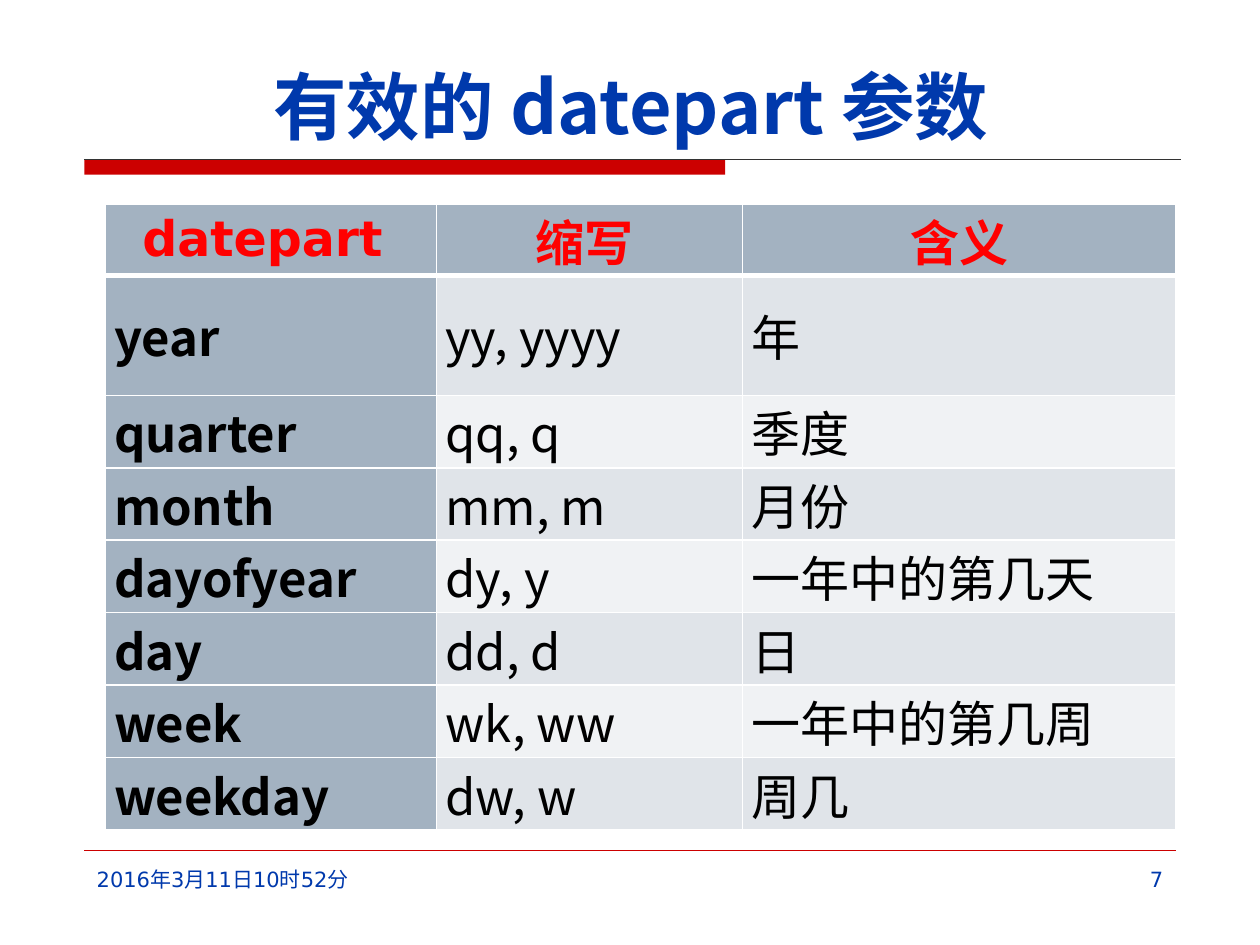
from lxml import etree
from pptx import Presentation
from pptx.dml.color import RGBColor
from pptx.enum.shapes import MSO_CONNECTOR, MSO_SHAPE
from pptx.enum.text import MSO_ANCHOR as Anchor, MSO_AUTO_SIZE, PP_ALIGN as Align
from pptx.oxml.ns import qn
from pptx.util import Cm, Pt

COLORS = {
    "blue": "0039AC", "red": "CC0000", "rule": "333333", "header_text": "FF0000",
    "body_text": "000000", "border": "FFFFFF", "key": "A3B2C1",
    "band_dark": "E0E4E9", "band_light": "F0F2F4",
}
SANS = "DejaVu Sans"
CJK = "Noto Sans CJK SC"

HEADER = ["datepart ", "缩写 ", "含义"]
DATEPARTS = [
    ("year", "yy, yyyy", "年"),
    ("quarter", "qq, q", "季度"),
    ("month", "mm, m", "月份"),
    ("dayofyear", "dy, y", "一年中的第几天"),
    ("day", "dd, d", "日"),
    ("week", "wk, ww", "一年中的第几周"),
    ("weekday", "dw, w", "周几"),
]
COLUMN_WIDTHS = [6.68, 6.17, 8.74]
ROW_HEIGHTS = [1.43, 2.42] + [1.46] * 6


def color(name):
    return RGBColor.from_string(COLORS[name])


def write_text(frame, text, size=28, font=CJK, color_name="body_text", bold=False,
               align=Align.LEFT, anchor=Anchor.TOP, indent=0):
    frame.word_wrap = True
    frame.vertical_anchor = anchor
    paragraph = frame.paragraphs[0]
    paragraph.alignment = align
    if indent:
        properties = paragraph._p.get_or_add_pPr()
        properties.set("marL", "0")
        properties.set("indent", str(Cm(indent)))
    run = paragraph.add_run()
    run.text = text
    run.font.size = Pt(size)
    run.font.bold = bold
    run.font.color.rgb = color(color_name)
    run.font.name = font
    east_asian = etree.SubElement(run._r.get_or_add_rPr(), qn("a:ea"))
    east_asian.set("typeface", CJK)


def set_borders(cell, bottom=1):
    properties = cell._tc.get_or_add_tcPr()
    for tag, width in (("lnL", 1), ("lnR", 1), ("lnT", 1), ("lnB", bottom)):
        line = etree.SubElement(properties, qn(f"a:{tag}"), w=str(Pt(width)))
        fill = etree.SubElement(line, qn("a:solidFill"))
        etree.SubElement(fill, qn("a:srgbClr"), val=COLORS["border"])


class SlideBuilder:
    def __init__(self, slide):
        self.slide = slide

    def title(self, text, left, top, width, height):
        shape = self.slide.shapes.title
        shape.left, shape.top, shape.width, shape.height = map(Cm, (left, top, width, height))
        shape.text_frame.auto_size = MSO_AUTO_SIZE.NONE
        write_text(shape.text_frame, text, size=42, color_name="blue", bold=True,
                   align=Align.CENTER, anchor=Anchor.BOTTOM)

    def bar(self, left, top, width, height):
        shape = self.slide.shapes.add_shape(
            MSO_SHAPE.RECTANGLE, *map(Cm, (left, top, width, height)))
        shape.shadow.inherit = False
        shape.fill.solid()
        shape.fill.fore_color.rgb = color("red")
        shape.line.fill.background()

    def rule(self, left, right, y, color_name, width):
        connector = self.slide.shapes.add_connector(
            MSO_CONNECTOR.STRAIGHT, Cm(left), Cm(y), Cm(right), Cm(y))
        connector.line.color.rgb = color(color_name)
        connector.line.width = Pt(width)
        etree.SubElement(connector._element.spPr, qn("a:effectLst"))

    def text(self, text, left, top, width, height, **style):
        shape = self.slide.shapes.add_textbox(*map(Cm, (left, top, width, height)))
        write_text(shape.text_frame, text, **style)

    def cell(self, cell, text, fill, bottom=1, **style):
        cell.margin_left = cell.margin_right = cell.margin_top = cell.margin_bottom = 0
        set_borders(cell, bottom)
        cell.fill.solid()
        cell.fill.fore_color.rgb = color(fill)
        cell.vertical_anchor = Anchor.MIDDLE
        write_text(cell.text_frame, text, anchor=None, **style)

    def datepart_table(self, left, top):
        frame = self.slide.shapes.add_table(
            len(ROW_HEIGHTS), len(COLUMN_WIDTHS), Cm(left), Cm(top),
            Cm(sum(COLUMN_WIDTHS)), Cm(sum(ROW_HEIGHTS)))
        table = frame.table
        for column, width in zip(table.columns, COLUMN_WIDTHS):
            column.width = Cm(width)
        for row, height in zip(table.rows, ROW_HEIGHTS):
            row.height = Cm(height)
        for column, text in enumerate(HEADER):
            self.cell(table.cell(0, column), text, "key", bottom=3, font=SANS,
                      color_name="header_text", bold=True, align=Align.CENTER)
        for row, texts in enumerate(DATEPARTS, start=1):
            band = "band_dark" if row % 2 else "band_light"
            for column, text in enumerate(texts):
                is_key = column == 0
                self.cell(table.cell(row, column), text, "key" if is_key else band,
                          bold=is_key, indent=0.18)


def main():
    presentation = Presentation()
    presentation.slide_width, presentation.slide_height = Cm(25.4), Cm(19.05)
    builder = SlideBuilder(presentation.slides.add_slide(presentation.slide_layouts[5]))

    builder.bar(1.7, 3.22, 12.92, 0.3)
    builder.rule(1.7, 23.8, 3.22, "rule", 0.75)
    builder.rule(1.7, 23.7, 17.15, "red", 0.25)
    builder.title("有效的 datepart 参数", 1.6, 0.84, 22.23, 2.29)
    builder.datepart_table(2.12, 4.12)
    footer = {"size": 12, "font": SANS, "color_name": "blue"}
    builder.text("2016年3月11日10时52分", 1.7, 17.35, 5.61, 1.32, **footer)
    builder.text("7", 18.2, 17.35, 5.5, 1.32, align=Align.RIGHT, **footer)

    presentation.save("out.pptx")


if __name__ == "__main__":
    main()
